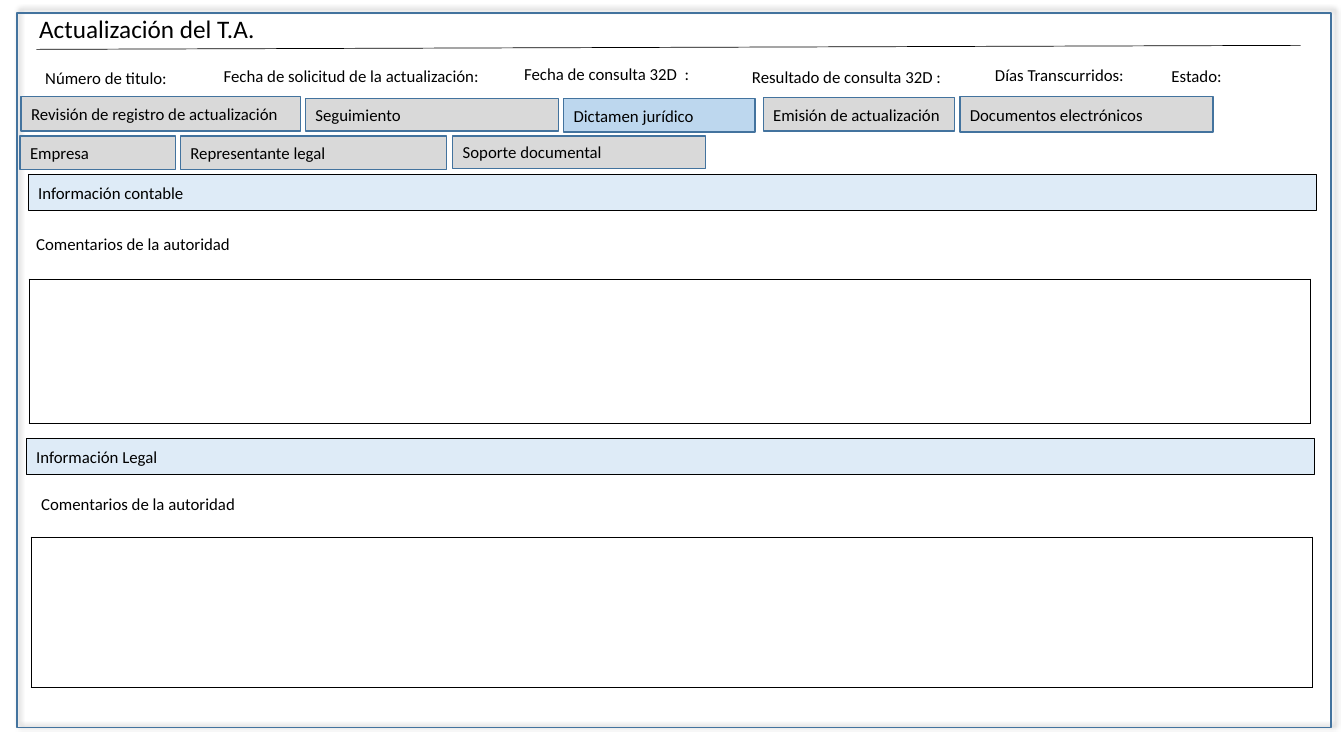
from dataclasses import dataclass

import pptx
import pptx.dml.color
import pptx.enum.shapes
import pptx.enum.text
import pptx.oxml
import pptx.oxml.ns
import pptx.util
from pptx.util import Inches


@dataclass(frozen=True)
class Theme:
    font: str = "Calibri"
    title_size: int = 18
    body_size: int = 12
    ink: str = "000000"
    outline: str = "43739E"
    tab: str = "D9D9D9"
    active_tab: str = "BDD7EE"
    section: str = "DEEBF7"


THEME = Theme()

# Text, left, top, width
FIELDS = [
    ("Número de titulo:", 0.35, 0.62, 1.69),
    ("Fecha de solicitud de la actualización:", 2.12, 0.6, 3.32),
    ("Fecha de consulta 32D  :", 5.1, 0.58, 2.12),
    ("Resultado de consulta 32D :", 7.36, 0.61, 2.12),
    ("Días Transcurridos:", 9.77, 0.59, 2.12),
    ("Estado:", 11.52, 0.6, 2.12),
]

# Text, left, top, width, height
ACTIVE_TAB = "Dictamen jurídico"
TABS = [
    ("Revisión de registro de actualización", 0.21, 0.96, 2.77, 0.34),
    ("Seguimiento", 3.03, 0.98, 2.51, 0.32),
    (ACTIVE_TAB, 5.59, 0.98, 1.9, 0.33),
    ("Emisión de actualización", 7.57, 0.97, 1.9, 0.33),
    ("Documentos electrónicos", 9.52, 0.96, 2.51, 0.35),
    ("Empresa", 0.2, 1.35, 1.54, 0.33),
    ("Representante legal", 1.79, 1.35, 2.64, 0.33),
    ("Soporte documental", 4.49, 1.35, 2.51, 0.32),
]

# Heading, its left and top, label left and top, comment box left, top and height
SECTIONS = [
    ("Información contable", (0.28, 1.73), (0.26, 2.27), (0.29, 2.77, 1.43)),
    ("Información Legal", (0.26, 4.35), (0.31, 4.85), (0.31, 5.33, 1.49)),
]


def rgb(value):
    return pptx.dml.color.RGBColor.from_string(value)


def write(frame, text, size):
    frame.text = text
    paragraph = frame.paragraphs[0]
    paragraph.alignment = pptx.enum.text.PP_ALIGN.LEFT
    font = paragraph.runs[0].font
    font.name = THEME.font
    font.size = pptx.util.Pt(size)
    font.color.rgb = rgb(THEME.ink)


def add_label(slide, text, left, top, width, height=0.3, size=THEME.body_size):
    label = slide.shapes.add_textbox(
        Inches(left), Inches(top), Inches(width), Inches(height))
    label.text_frame.word_wrap = True
    label.text_frame.auto_size = pptx.enum.text.MSO_AUTO_SIZE.SHAPE_TO_FIT_TEXT
    write(label.text_frame, text, size)


def add_box(slide, left, top, width, height, outline, fill=None, text=None):
    box = slide.shapes.add_shape(
        pptx.enum.shapes.MSO_SHAPE.RECTANGLE,
        Inches(left), Inches(top), Inches(width), Inches(height))
    box.shadow.inherit = False
    box.line.color.rgb = rgb(outline)
    box.line.width = pptx.util.Pt(1)
    if fill:
        box.fill.solid()
        box.fill.fore_color.rgb = rgb(fill)
    else:
        box.fill.background()
    if text:
        box.text_frame.word_wrap = True
        box.text_frame.vertical_anchor = pptx.enum.text.MSO_ANCHOR.MIDDLE
        write(box.text_frame, text, THEME.body_size)
    return box


def add_window(slide):
    window = add_box(slide, 0.17, 0.13, 13.03, 7.09, THEME.outline)
    effects = window.element.spPr.find(pptx.oxml.ns.qn("a:effectLst"))
    effects.append(pptx.oxml.parse_xml(
        f'<a:outerShdw {pptx.oxml.ns.nsdecls("a")} blurRad="{pptx.util.Pt(4)}" '
        f'dist="{pptx.util.Pt(3)}" dir="{315 * 60000}" algn="bl" rotWithShape="0">'
        f'<a:srgbClr val="{THEME.ink}"><a:alpha val="40000"/></a:srgbClr>'
        '</a:outerShdw>'))


def add_title_rule(slide):
    rule = slide.shapes.add_connector(
        pptx.enum.shapes.MSO_CONNECTOR.STRAIGHT,
        Inches(0.36), Inches(0.49), Inches(12.9), Inches(0.45))
    rule.line.color.rgb = rgb(THEME.ink)
    rule.line.width = pptx.util.Pt(0.5)
    rule.element.spPr.append(pptx.oxml.parse_xml(
        f'<a:effectLst {pptx.oxml.ns.nsdecls("a")}/>'))


def add_comment_table(slide, left, top, height):
    comments = slide.shapes.add_table(
        1, 1, Inches(left), Inches(top), Inches(12.71), Inches(height)).table
    comments.first_row = False
    comments.horz_banding = False
    cell = comments.cell(0, 0)
    cell.fill.background()
    # Borders come before the fill in the cell properties
    properties = cell._tc.get_or_add_tcPr()
    for position, side in enumerate("LRTB"):
        properties.insert(position, pptx.oxml.parse_xml(
            f'<a:ln{side} {pptx.oxml.ns.nsdecls("a")} w="{pptx.util.Pt(1)}">'
            f'<a:solidFill><a:srgbClr val="{THEME.ink}"/></a:solidFill></a:ln{side}>'))


def add_section(slide, heading, heading_at, label_at, comments_at):
    add_box(slide, *heading_at, 12.78, 0.36, THEME.ink, THEME.section, heading)
    add_label(slide, "Comentarios de la autoridad", *label_at, 3.59)
    add_comment_table(slide, *comments_at)


def main():
    deck = pptx.Presentation()
    deck.slide_width, deck.slide_height = Inches(13.33), Inches(7.5)
    slide = deck.slides.add_slide(deck.slide_layouts[6])

    # Window and title
    add_window(slide)
    add_label(slide, "Actualización del T.A.", 0.29, 0.08, 5.11, 0.4, THEME.title_size)
    add_title_rule(slide)

    # Record summary
    for field in FIELDS:
        add_label(slide, *field)

    # Navigation tabs
    for text, *place in TABS:
        fill = THEME.active_tab if text == ACTIVE_TAB else THEME.tab
        add_box(slide, *place, THEME.outline, fill, text)

    # Comment sections
    for section in SECTIONS:
        add_section(slide, *section)

    deck.save("out.pptx")


if __name__ == "__main__":
    main()
